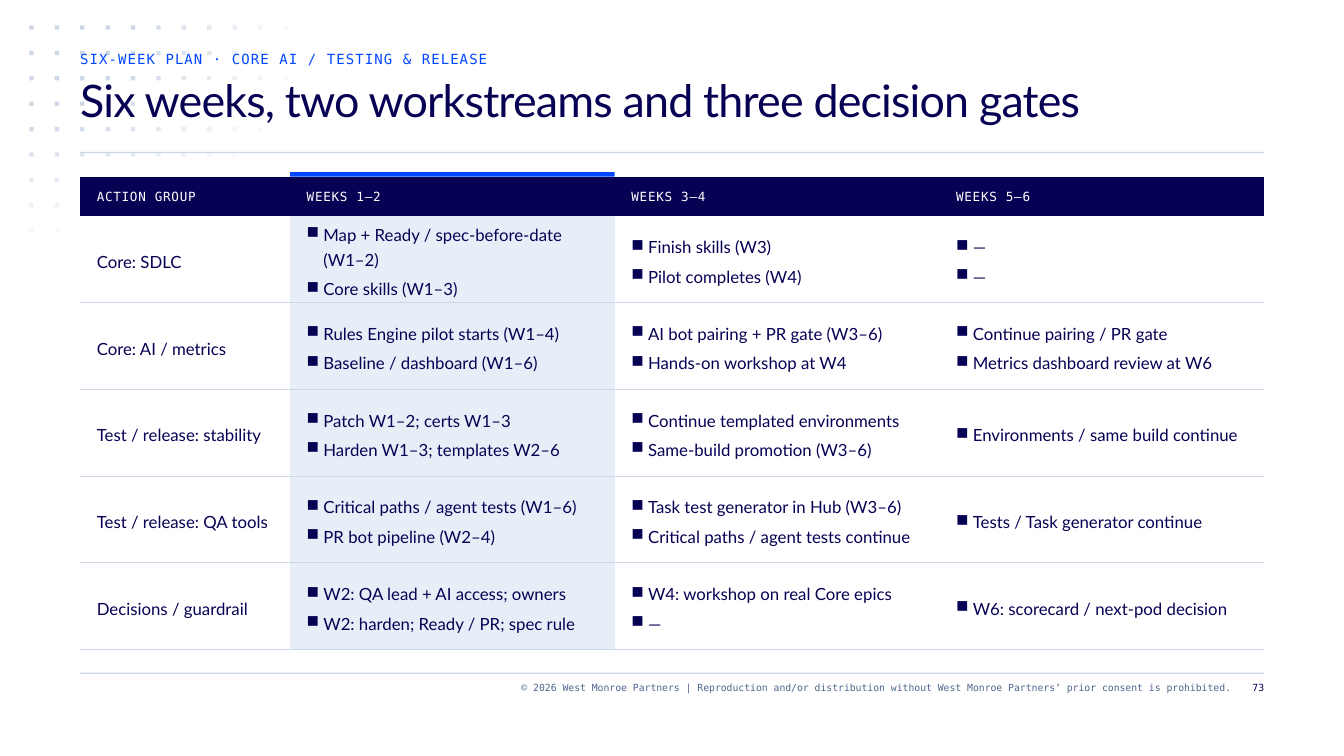
from itertools import product
from math import hypot
from lxml.etree import SubElement
from pptx import Presentation
from pptx.dml.color import RGBColor
from pptx.enum.shapes import MSO_SHAPE
from pptx.enum.text import MSO_ANCHOR, MSO_AUTO_SIZE, PP_ALIGN
from pptx.oxml import parse_xml
from pptx.oxml.ns import nsdecls, qn
from pptx.util import Cm, Pt

HUES = {"navy": "070154", "blue": "0047FF", "rule": "CED7E6",
        "tint": "E8EEF8", "gray": "50658E", "white": "FFFFFF"}
MONO, SANS = "DejaVu Sans Mono", "Lato"

KICKER = "SIX-WEEK PLAN · CORE AI / TESTING & RELEASE"
TITLE = "Six weeks, two workstreams and three decision gates"
LEGAL = ("© 2026 West Monroe Partners | Reproduction and/or distribution "
         "without West Monroe Partners’ prior consent is prohibited.")
PAGE = "73"
HEADS = ["ACTION GROUP", "WEEKS 1–2", "WEEKS 3–4", "WEEKS 5–6"]
PLAN = [
    ("Core: SDLC",
     ["Map + Ready / spec-before-date (W1–2)", "Core skills (W1–3)"],
     ["Finish skills (W3)", "Pilot completes (W4)"],
     ["—", "—"]),
    ("Core: AI / metrics",
     ["Rules Engine pilot starts (W1–4)", "Baseline / dashboard (W1–6)"],
     ["AI bot pairing + PR gate (W3–6)", "Hands-on workshop at W4"],
     ["Continue pairing / PR gate", "Metrics dashboard review at W6"]),
    ("Test / release: stability",
     ["Patch W1–2; certs W1–3", "Harden W1–3; templates W2–6"],
     ["Continue templated environments", "Same-build promotion (W3–6)"],
     ["Environments / same build continue"]),
    ("Test / release: QA tools",
     ["Critical paths / agent tests (W1–6)", "PR bot pipeline (W2–4)"],
     ["Task test generator in Hub (W3–6)",
      "Critical paths / agent tests continue"],
     ["Tests / Task generator continue"]),
    ("Decisions / guardrail",
     ["W2: QA lead + AI access; owners", "W2: harden; Ready / PR; spec rule"],
     ["W4: workshop on real Core epics", "—"],
     ["W6: scorecard / next-pod decision"]),
]

LEFT, WIDTH, TOP = 2.02, 29.84, 4.45
FIRST, HEAD, TALL = 5.29, 0.99, 11.92
SPAN = (WIDTH - FIRST) / 3
PAD = 0.42

deck = Presentation()
deck.slide_width, deck.slide_height = Cm(33.87), Cm(19.05)
slide = deck.slides.add_slide(deck.slide_layouts[5])
shapes = slide.shapes


def tone(name):
    return RGBColor.from_string(HUES[name])


def block(x, y, w, h, hue, alpha=100):
    box = shapes.add_shape(MSO_SHAPE.RECTANGLE, Cm(x), Cm(y), Cm(w), Cm(h))
    box.shadow.inherit = False
    box.fill.solid()
    box.fill.fore_color.rgb = tone(hue)
    box.line.fill.background()
    if alpha < 100:
        clr = box.fill._xPr.find(".//" + qn("a:srgbClr"))
        SubElement(clr, qn("a:alpha"), val=str(alpha * 1000))


def style(para, face, size, hue, lead, track=0):
    para.line_spacing = Pt(lead)
    font = para.font
    font.name, font.size = face, Pt(size)
    font.color.rgb = tone(hue)
    if track:
        font._rPr.set("spc", str(round(track * 100)))


def label(box, text, spot, look, align=PP_ALIGN.LEFT):
    box.left, box.top, box.width, box.height = map(Cm, spot)
    frame = box.text_frame
    frame.word_wrap = True
    frame.auto_size = MSO_AUTO_SIZE.NONE
    frame.vertical_anchor = MSO_ANCHOR.TOP
    frame.margin_left = frame.margin_right = 0
    frame.margin_top = frame.margin_bottom = 0
    frame.text = text
    para = frame.paragraphs[0]
    para.alignment = align
    style(para, *look)


def note(text, spot, look, align=PP_ALIGN.LEFT):
    label(shapes.add_textbox(0, 0, 0, 0), text, spot, look, align)


def bullet(para):
    props = para._p.get_or_add_pPr()
    props.set("marL", str(Cm(PAD)))
    props.set("indent", str(-Cm(PAD)))
    SubElement(props, qn("a:buChar"), char="■")


def dress(cell, hue):
    cell.margin_left = cell.margin_right = Cm(PAD)
    cell.margin_top = cell.margin_bottom = 0
    cell.vertical_anchor = MSO_ANCHOR.MIDDLE
    cell.fill.solid()
    cell.fill.fore_color.rgb = tone(hue)


def edge(cell):
    cell._tc.get_or_add_tcPr().insert(0, parse_xml(
        f'<a:lnB {nsdecls("a")} w="9525"><a:solidFill>'
        f'<a:srgbClr val="{HUES["rule"]}"/></a:solidFill></a:lnB>'))


def draw_table():
    grid = shapes.add_table(len(PLAN) + 1, len(HEADS), Cm(LEFT), Cm(TOP),
                            Cm(WIDTH), Cm(TALL)).table
    grid._tbl.tblPr.find(qn("a:tableStyleId")).text = (
        "{2D5ABB26-0587-4C30-8999-92F81FD0307C}")
    grid.first_row = True
    grid.horz_banding = False
    for i, col in enumerate(grid.columns):
        col.width = Cm(SPAN if i else FIRST)
    for i, row in enumerate(grid.rows):
        row.height = Cm((TALL - HEAD) / len(PLAN) if i else HEAD)
    for c, head in enumerate(HEADS):
        cell = grid.cell(0, c)
        dress(cell, "navy")
        cell.text = head
        style(cell.text_frame.paragraphs[0], MONO, 9, "white", 12, 0.5)
    for r, (group, *weeks) in enumerate(PLAN, 1):
        for c, items in enumerate([[group], *weeks]):
            cell = grid.cell(r, c)
            dress(cell, "tint" if c == 1 else "white")
            edge(cell)
            cell.text = "\n".join(items)
            paras = cell.text_frame.paragraphs
            for para in paras:
                if c:
                    bullet(para)
                style(para, SANS, 12, "navy", 18)
            for para in paras[:-1]:
                para.space_after = Pt(3)


block(LEFT, 16.95, WIDTH, 0.03, "rule")
for x, y in product(range(11), range(9)):
    alpha = int(153.5 * (1 - hypot(x / 11.08, y / 9.07)))
    if alpha > 1:
        block(0.74 + x * 0.64, 0.64 + y * 0.64, 0.11, 0.11, "rule", alpha)
block(LEFT, 3.83, WIDTH, 0.03, "rule")

note(LEGAL, (6.27, 17.15, 24.76, 0.64), (MONO, 7, "gray", 9), PP_ALIGN.RIGHT)
note(KICKER, (LEFT, 1.27, WIDTH, 0.43), (MONO, 10, "blue", 12, 0.8))
title = shapes.title
shapes._spTree.append(title._element)
label(title, TITLE, (LEFT, 1.91, WIDTH, 1.91), (SANS, 32, "navy", 36, -0.6))
note(PAGE, (31.01, 17.15, 0.85, 0.64), (MONO, 7, "navy", 9), PP_ALIGN.RIGHT)
draw_table()
block(LEFT + FIRST, TOP - 0.11, SPAN, 0.11, "blue")

deck.save("out.pptx")
